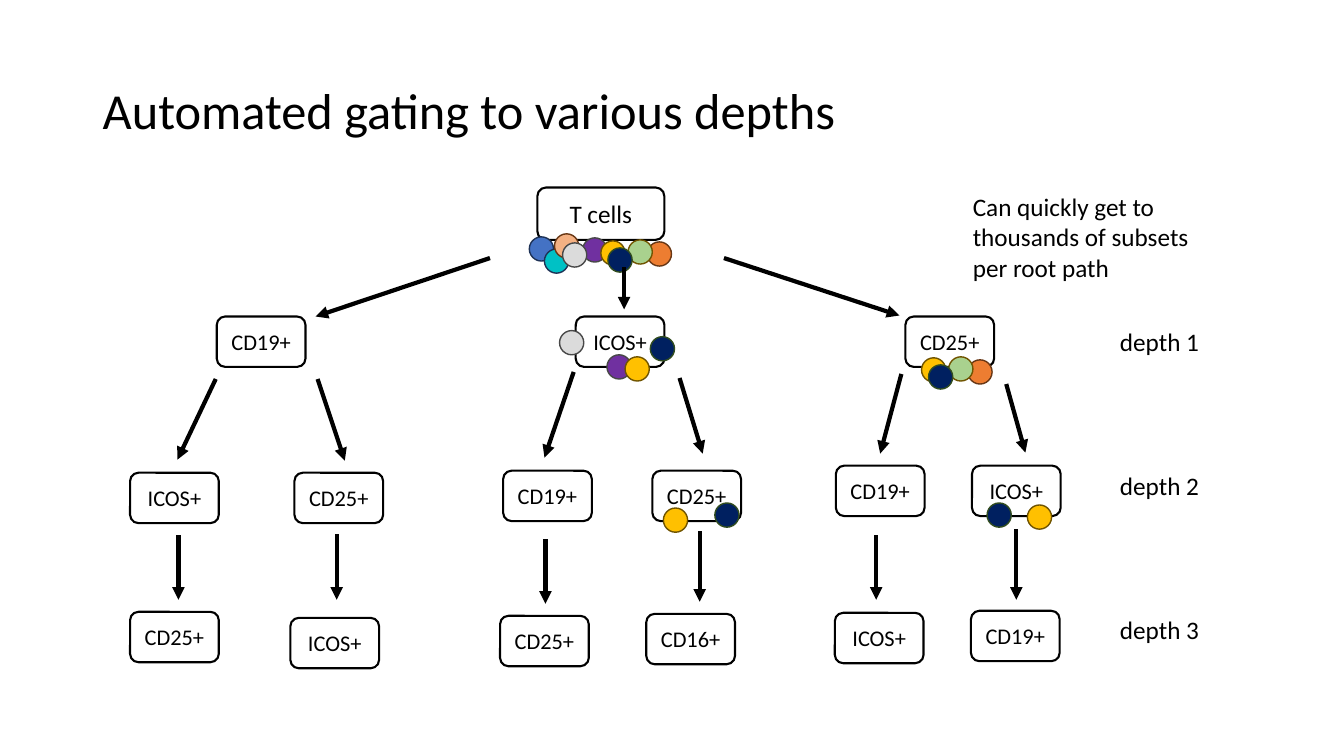
from dataclasses import dataclass, field
from typing import NamedTuple

from lxml import etree
from pptx import Presentation
from pptx import util as u
from pptx.dml import color
from pptx.enum import shapes, text
from pptx.oxml import ns


class CellColor(NamedTuple):
    fill: str
    outline: str


@dataclass(frozen=True)
class Theme:
    font: str = "Calibri"
    ink: str = "000000"
    title_size: int = 36
    body_size: int = 18
    gate_size: int = 16
    box_line: float = 1.5
    cell_line: float = 1
    arrow_line: float = 3
    cells: dict[str, CellColor] = field(default_factory=lambda: {
        "blue": CellColor("4472C4", "1E3256"),
        "teal": CellColor("00C1C5", "1E3256"),
        "orange": CellColor("ED7D31", "683715"),
        "peach": CellColor("F4B183", "683715"),
        "purple": CellColor("7030A0", "484848"),
        "grey": CellColor("DBDBDB", "484848"),
        "gold": CellColor("FFC000", "705400"),
        "green": CellColor("A9D18E", "705400"),
        "navy": CellColor("002060", "314C1F"),
    })


class Gate(NamedTuple):
    label: str
    left: float
    top: float


class Cell(NamedTuple):
    kind: str
    left: float
    top: float


class Arrow(NamedTuple):
    x1: float
    y1: float
    x2: float
    y2: float


class Label(NamedTuple):
    content: str
    left: float
    top: float
    width: float
    height: float
    wrap: bool = True


THEME = Theme()
GATE_WIDTH, GATE_HEIGHT = 0.88, 0.5
CELL_SIZE = 0.24
DEPTH_TOP, DEPTH_STEP = 3.19, 1.43

GATES = [
    # Depth 1
    Gate("CD19+", 2.15, 3.14), Gate("ICOS+", 5.71, 3.14), Gate("CD25+", 8.98, 3.14),
    # Depth 2
    Gate("ICOS+", 1.29, 4.69), Gate("CD25+", 2.92, 4.69),
    Gate("CD19+", 4.99, 4.67), Gate("CD25+", 6.47, 4.67),
    Gate("CD19+", 8.29, 4.62), Gate("ICOS+", 9.64, 4.62),
    # Depth 3
    Gate("CD25+", 1.29, 6.07), Gate("ICOS+", 2.88, 6.13),
    Gate("CD25+", 4.96, 6.11), Gate("CD16+", 6.41, 6.09),
    Gate("ICOS+", 8.28, 6.08), Gate("CD19+", 9.63, 6.06),
]

CELLS = [
    # T cells
    Cell("blue", 5.25, 2.35), Cell("orange", 6.42, 2.4), Cell("purple", 5.78, 2.36),
    Cell("gold", 5.96, 2.39), Cell("teal", 5.4, 2.47), Cell("peach", 5.5, 2.32),
    Cell("grey", 5.58, 2.41), Cell("green", 6.23, 2.38), Cell("navy", 6.03, 2.46),
    # CD25+ at depth 1
    Cell("orange", 9.6, 3.57), Cell("gold", 9.14, 3.55),
    Cell("green", 9.41, 3.54), Cell("navy", 9.21, 3.62),
    # CD25+ then ICOS+
    Cell("gold", 10.19, 5.01), Cell("navy", 9.79, 4.99),
    # ICOS+ at depth 1
    Cell("purple", 6.02, 3.52), Cell("gold", 6.2, 3.54),
    Cell("grey", 5.55, 3.28), Cell("navy", 6.45, 3.34),
    # ICOS+ then CD25+
    Cell("gold", 6.58, 5.04), Cell("navy", 7.09, 4.99),
]

ARROWS = [
    # Root to depth 1
    Arrow(4.86, 2.56, 3.13, 3.14), Arrow(6.19, 2.65, 6.19, 3.07),
    Arrow(7.18, 2.56, 8.92, 3.13),
    # Depth 1 to depth 2
    Arrow(2.14, 3.76, 1.76, 4.56), Arrow(3.15, 3.76, 3.42, 4.57),
    Arrow(5.69, 3.69, 5.4, 4.54), Arrow(6.74, 3.75, 6.97, 4.5),
    Arrow(8.94, 3.71, 8.73, 4.5), Arrow(9.98, 3.81, 10.17, 4.49),
    # Depth 2 to depth 3
    Arrow(1.77, 5.31, 1.77, 5.95), Arrow(3.34, 5.3, 3.34, 5.95),
    Arrow(5.41, 5.35, 5.41, 5.99), Arrow(6.94, 5.27, 6.94, 5.97),
    Arrow(8.69, 5.31, 8.69, 5.95), Arrow(10.08, 5.25, 10.08, 5.95),
]

LABELS = [
    Label("Can quickly get to thousands of subsets per root path", 9.55, 1.85, 2.68, 1.01),
    *(Label(f"depth {depth}", 11.01, DEPTH_TOP + (depth - 1) * DEPTH_STEP, 1.02, 0.4, False)
      for depth in (1, 2, 3)),
]


def rgb(code: str) -> color.RGBColor:
    return color.RGBColor.from_string(code)


def write(shape, content: str, size: int):
    """Put one styled paragraph into a shape and return it."""
    paragraph = shape.text_frame.paragraphs[0]
    paragraph.text = content
    paragraph.font.name = THEME.font
    paragraph.font.size = u.Pt(size)
    paragraph.font.color.rgb = rgb(THEME.ink)
    return paragraph


def set_line(shape, code: str, width: float) -> None:
    shape.line.color.rgb = rgb(code)
    shape.line.width = u.Pt(width)


def draw_box(slide, gate: Gate, width: float, height: float, size: int) -> None:
    shape = slide.shapes.add_shape(
        shapes.MSO_SHAPE.ROUNDED_RECTANGLE,
        u.Inches(gate.left), u.Inches(gate.top), u.Inches(width), u.Inches(height))
    shape.shadow.inherit = False
    shape.fill.background()
    set_line(shape, THEME.ink, THEME.box_line)
    shape.text_frame.vertical_anchor = text.MSO_ANCHOR.MIDDLE
    write(shape, gate.label, size).alignment = text.PP_ALIGN.CENTER


def draw_cell(slide, cell: Cell) -> None:
    shape = slide.shapes.add_shape(
        shapes.MSO_SHAPE.OVAL, u.Inches(cell.left), u.Inches(cell.top),
        u.Inches(CELL_SIZE), u.Inches(CELL_SIZE))
    shape.shadow.inherit = False
    look = THEME.cells[cell.kind]
    shape.fill.solid()
    shape.fill.fore_color.rgb = rgb(look.fill)
    set_line(shape, look.outline, THEME.cell_line)


def draw_arrow(slide, arrow: Arrow) -> None:
    connector = slide.shapes.add_connector(
        shapes.MSO_CONNECTOR.STRAIGHT, *(u.Inches(value) for value in arrow))
    set_line(connector, THEME.ink, THEME.arrow_line)
    etree.SubElement(connector.line._get_or_add_ln(), ns.qn("a:tailEnd"), type="triangle")
    etree.SubElement(connector._element.spPr, ns.qn("a:effectLst"))


def draw_label(slide, label: Label, size: int):
    box = slide.shapes.add_textbox(
        u.Inches(label.left), u.Inches(label.top), u.Inches(label.width), u.Inches(label.height))
    box.text_frame.word_wrap = label.wrap
    write(box, label.content, size)
    return box


def main() -> None:
    presentation = Presentation()
    presentation.slide_width = u.Inches(13.33)
    presentation.slide_height = u.Inches(7.5)
    slide = presentation.slides.add_slide(presentation.slide_layouts[6])

    # Title
    title = draw_label(slide, Label("Automated gating to various depths", 0.92, 0.4, 11.5, 1.45),
                       THEME.title_size)
    title.text_frame.vertical_anchor = text.MSO_ANCHOR.MIDDLE
    title.text_frame.paragraphs[0].line_spacing = 0.9

    # Gating tree
    draw_box(slide, Gate("T cells", 5.33, 1.86), 1.26, 0.52, THEME.body_size)
    for gate in GATES:
        draw_box(slide, gate, GATE_WIDTH, GATE_HEIGHT, THEME.gate_size)
    for cell in CELLS:
        draw_cell(slide, cell)
    for arrow in ARROWS:
        draw_arrow(slide, arrow)

    # Remark and depth labels
    for label in LABELS:
        box = draw_label(slide, label, THEME.body_size)
        box.text_frame.auto_size = text.MSO_AUTO_SIZE.SHAPE_TO_FIT_TEXT

    presentation.save("out.pptx")


if __name__ == "__main__":
    main()
